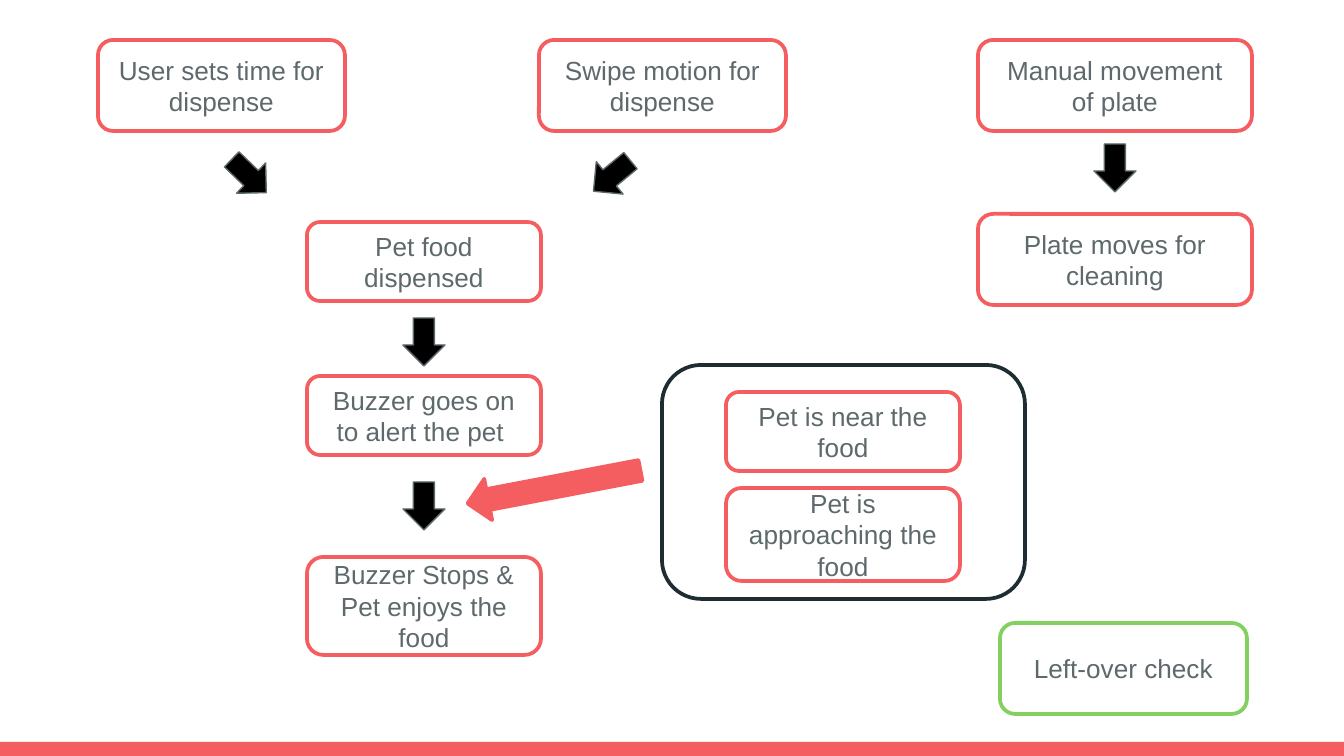
from lxml.etree import SubElement
from pptx import Presentation
from pptx.dml.color import RGBColor
from pptx.enum.shapes import MSO_SHAPE
from pptx.enum.text import MSO_ANCHOR, PP_ALIGN
from pptx.oxml.ns import qn
from pptx.util import Emu, Inches, Pt

COLORS = {
    "coral": "F55E61",
    "green": "83D061",
    "navy": "1E2D31",
    "gray": "5E696C",
    "black": "000000",
    "white": "FFFFFF",
}
SCALE = 914400 / 134.4


def px(length):
    return Emu(round(length * SCALE))


def color(name):
    return RGBColor.from_string(COLORS[name])


class FlowSlide:
    font = "Arial"
    text_size = Pt(14)
    inset = Inches(0.1)

    def __init__(self, slide):
        self.slide = slide

    def shape(self, kind, left, top, width, height, fill=None, line=None, weight=2):
        shape = self.slide.shapes.add_shape(kind, px(left), px(top), px(width), px(height))
        shape.shadow.inherit = False
        if fill:
            shape.fill.solid()
            shape.fill.fore_color.rgb = color(fill)
        else:
            shape.fill.background()
        if line:
            shape.line.color.rgb = color(line)
            shape.line.width = Pt(weight)
            SubElement(shape.element.spPr.find(qn("a:ln")), qn("a:round"))
        else:
            shape.line.fill.background()
        return shape

    def bar(self, top, height):
        self.shape(MSO_SHAPE.RECTANGLE, 0, top, 1344, height, "coral")

    def frame(self, left, top, width, height):
        self.shape(MSO_SHAPE.FLOWCHART_ALTERNATE_PROCESS, left, top, width, height, line="navy")

    def step(self, text, left, top, width, height, line="coral"):
        step = self.shape(MSO_SHAPE.FLOWCHART_ALTERNATE_PROCESS,
                          left, top, width, height, "white", line)
        frame = step.text_frame
        frame.word_wrap = True
        frame.vertical_anchor = MSO_ANCHOR.MIDDLE
        frame.margin_left = frame.margin_right = self.inset
        frame.margin_top = frame.margin_bottom = self.inset
        paragraph = frame.paragraphs[0]
        paragraph.alignment = PP_ALIGN.CENTER
        run = paragraph.add_run()
        run.text = text
        run.font.name = self.font
        run.font.size = self.text_size
        run.font.color.rgb = color("gray")

    def arrow(self, left, top, rotation=0, length=48, fill="black", line="gray", weight=0.75):
        arrow = self.shape(MSO_SHAPE.DOWN_ARROW, left, top, 42, length, fill, line, weight)
        arrow.rotation = rotation


def main():
    presentation = Presentation()
    presentation.slide_width = px(1344)
    presentation.slide_height = px(756)
    flow = FlowSlide(presentation.slides.add_slide(presentation.slide_layouts[6]))

    flow.bar(742, 14)

    steps = [
        ("User sets time for dispense", 98, 40, 247, 91),
        ("Swipe motion for dispense", 539, 40, 247, 91),
        ("Manual movement of plate", 978, 40, 274, 91),
        ("Plate moves for cleaning", 978, 214, 274, 91),
        ("Pet food dispensed", 307, 222, 234, 79),
        ("Buzzer goes on to alert the pet ", 307, 376, 234, 79),
        ("Buzzer Stops & Pet enjoys the food", 307, 557, 234, 98),
        ("Pet is near the food", 726, 392, 234, 79),
        ("Pet is approaching the food", 726, 488, 234, 93),
    ]
    for step in steps:
        flow.step(*step)
    flow.step("Left-over check", 1000, 623, 247, 91, "green")
    flow.frame(662, 365, 363, 234)

    for left, top, rotation in [
        (228, 152, 313.9),
        (591, 152, 50.5),
        (403, 318, 0),
        (403, 482, 0),
        (1094, 144, 0),
    ]:
        flow.arrow(left, top, rotation)
    flow.arrow(533, 399, 79.2, 176, "coral", "coral", 2)

    presentation.save("out.pptx")


if __name__ == "__main__":
    main()
